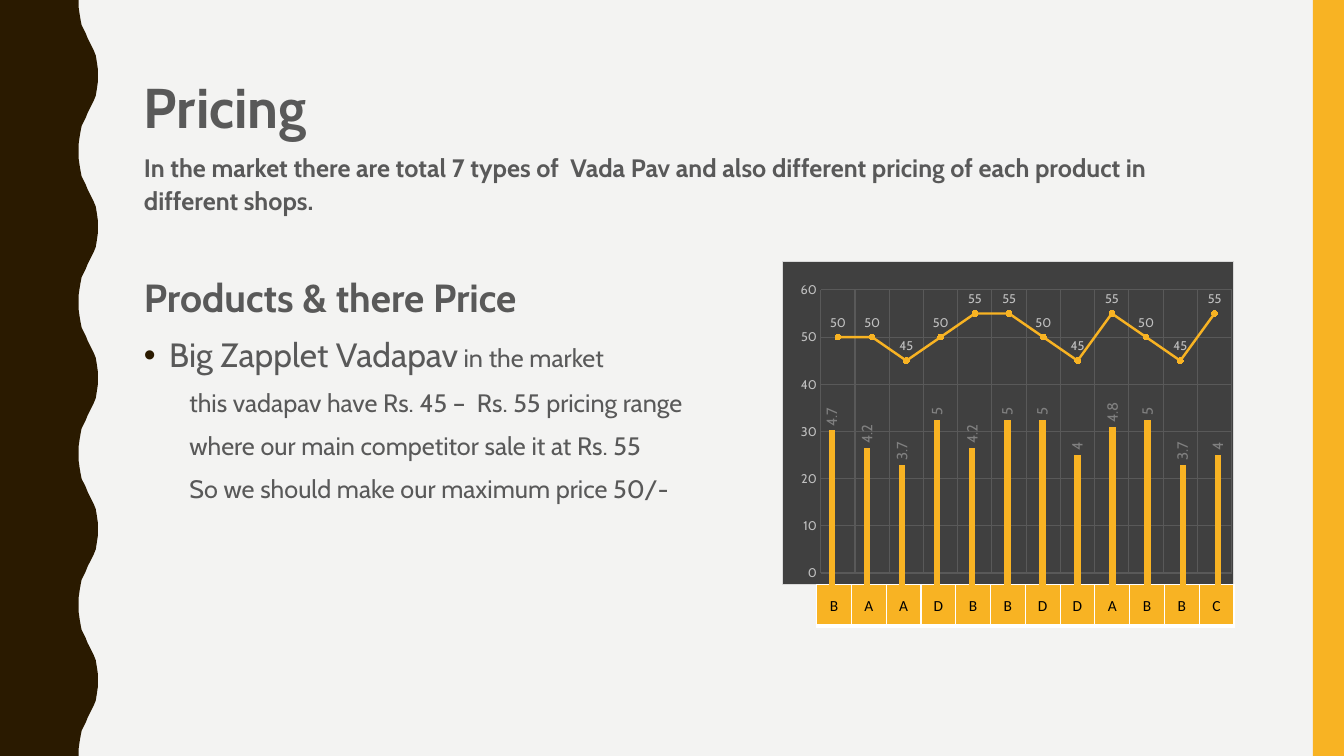
from pptx import Presentation
from pptx.chart.data import CategoryChartData
from pptx.dml.color import RGBColor
from pptx.enum.chart import XL_CHART_TYPE, XL_LABEL_POSITION, XL_MARKER_STYLE, XL_TICK_MARK
from pptx.enum.shapes import MSO_SHAPE
from pptx.enum.text import MSO_ANCHOR, PP_ALIGN
from pptx.oxml import parse_xml
from pptx.oxml.ns import nsdecls
from pptx.util import Inches, Pt

COLORS = {"paper": "F3F3F2", "brown": "2A1A00", "gold": "F8B323", "text": "595959",
          "panel": "404040", "grid": "595959", "border": "D9D9D9", "axis": "BFBFBF",
          "label": "808080", "black": "000000", "white": "FFFFFF"}


def color(name):
    return RGBColor.from_string(COLORS[name])


def add_price_chart(kind, box, values, layout, frame_xml, label_format):
    data = CategoryChartData()
    data.categories = [str(number) for number in range(1, len(values) + 1)]
    data.add_series("Series 1", values)
    chart = page.shapes.add_chart(kind, *map(Inches, box), data).chart
    chart.has_title = chart.has_legend = False
    chart.font.name, chart.font.size = "Cabin", Pt(10)
    chart.font.color.rgb = color("black")
    space = chart._chartSpace
    space.xpath("./c:txPr")[0].addprevious(parse_xml(
        f'<c:spPr {nsdecls("c", "a")}>{frame_xml}</c:spPr>'))
    plot_area = space.xpath("./c:chart/c:plotArea")[0]
    for old_layout in plot_area.xpath("./c:layout"):
        plot_area.remove(old_layout)
    places = "".join(f'<c:{key} val="{value}"/>' for key, value in zip("xywh", layout))
    plot_area.insert(0, parse_xml(
        f'<c:layout {nsdecls("c")}><c:manualLayout><c:layoutTarget val="inner"/>'
        f'<c:xMode val="edge"/><c:yMode val="edge"/>{places}</c:manualLayout></c:layout>'))
    plot = chart.plots[0]
    plot.vary_by_categories = False
    plot.has_data_labels = True
    labels = plot.data_labels
    labels.show_value = True
    labels.position = label_format["position"]
    labels.font.name, labels.font.size = "Cabin", Pt(label_format["size"])
    labels.font.color.rgb = color(label_format["color"])
    labels._element.xpath(".//a:bodyPr")[0].set("rot", label_format["rotation"])
    chart.category_axis.visible = False
    chart.value_axis.minimum_scale = 0
    return chart


deck = Presentation()
deck.slide_width, deck.slide_height = Inches(13.33), Inches(7.5)
page = deck.slides.add_slide(deck.slide_layouts[6])
page.background.fill.solid()
page.background.fill.fore_color.rgb = color("paper")

half_wave = [(78, 0), (78, 7), (79, 14), (80, 20), (81, 25), (83, 29), (85, 33), (87, 38),
             (89, 42), (91, 46), (93, 50), (95, 55), (96, 61), (97, 68), (97, 75)]
wave = half_wave + [(x, 150 - y) for x, y in reversed(half_wave[:-1])]
outline = [(x, y + 150 * turn) for turn in range(5) for x, y in wave] + [(0, 750)]
builder = page.shapes.build_freeform(0, 0, scale=Inches(0.01))
builder.add_line_segments(outline, close=True)
wavy_edge = builder.convert_to_shape()
side_bar = page.shapes.add_shape(MSO_SHAPE.RECTANGLE, Inches(13.02), 0, Inches(0.31), Inches(7.5))
for shape, name in ((wavy_edge, "brown"), (side_bar, "gold")):
    shape.shadow.inherit = False
    shape.fill.solid()
    shape.fill.fore_color.rgb = color(name)
    shape.line.fill.background()

paragraphs = [
    (7, 0, [("Pricing", 40, True)]),
    (7, 0, [("In the market there are total 7 types of  Vada Pav and also different "
             "pricing of each product in different shops.", 18, True)]),
    (38, 0, [("Products & there Price", 28, True)]),
    (7, 0.25, [("Big Zapplet Vadapav", 24, False), (" in the market", 18, False)]),
    (7, 0.45, [("this vadapav have Rs. 45 –  Rs. 55 pricing range", 18, False)]),
    (7, 0.45, [("where our main competitor sale it at Rs. 55", 18, False)]),
    (7, 0.45, [("So we should make our maximum price 50/-", 18, False)]),
]
box = page.shapes.add_textbox(Inches(1.33), Inches(0.6), Inches(11.13), Inches(6.9))
box.text_frame.word_wrap = True
for index, (space, indent, spans) in enumerate(paragraphs):
    para = box.text_frame.paragraphs[0] if index == 0 else box.text_frame.add_paragraph()
    for key, value in {"line_spacing": 1.1, "space_before": Pt(space)}.items():
        setattr(para, key, value)
    para._p.get_or_add_pPr().set("marL", str(Inches(indent)))
    for text, size, bold in spans:
        span = para.add_run()
        span.text = text
        for key, value in {"name": "Cabin", "size": Pt(size), "bold": bold}.items():
            setattr(span.font, key, value)
        span.font.color.rgb = color("text")

bullet_format = box.text_frame.paragraphs[3]._p.get_or_add_pPr()
bullet_format.set("indent", str(Inches(-0.25)))
for bullet_xml in (f'<a:buClr {nsdecls("a")}><a:srgbClr val="{COLORS["brown"]}"/></a:buClr>',
                   f'<a:buFont {nsdecls("a")} typeface="Arial"/>',
                   f'<a:buChar {nsdecls("a")} char="•"/>'):
    bullet_format.append(parse_xml(bullet_xml))

panel_xml = (f'<a:solidFill><a:srgbClr val="{COLORS["panel"]}"/></a:solidFill>'
             f'<a:ln w="{Pt(0.75)}"><a:solidFill><a:srgbClr val="{COLORS["border"]}"/>'
             '</a:solidFill></a:ln>')
price_chart = add_price_chart(
    XL_CHART_TYPE.LINE_MARKERS, (7.76, 2.59, 4.48, 3.21),
    [50, 50, 45, 50, 55, 55, 50, 45, 55, 50, 45, 55], (0.084, 0.088, 0.912, 0.878), panel_xml,
    {"position": XL_LABEL_POSITION.ABOVE, "size": 9, "color": "axis", "rotation": "0"})
price_axis = price_chart.value_axis
for key, value in {"maximum_scale": 60, "major_unit": 10,
                   "major_tick_mark": XL_TICK_MARK.NONE}.items():
    setattr(price_axis, key, value)
price_axis.format.line.fill.background()
price_axis.tick_labels.font.name = "Cabin"
price_axis.tick_labels.font.size = Pt(9)
price_axis.tick_labels.font.color.rgb = color("axis")
for axis in (price_axis, price_chart.category_axis):
    axis.has_major_gridlines = True
    axis.major_gridlines.format.line.width = Pt(0.75)
    axis.major_gridlines.format.line.color.rgb = color("grid")
price_line = price_chart.plots[0].series[0]
price_line.smooth = False
price_line.format.line.width = Pt(1.75)
price_line.format.line.color.rgb = color("gold")
price_line.marker.style = XL_MARKER_STYLE.CIRCLE
price_line.marker.size = 4
price_line.marker.format.fill.solid()
price_line.marker.format.fill.fore_color.rgb = color("gold")
price_line.marker.format.line.color.rgb = color("gold")

shops = "BAADBBDDABBC"
table = page.shapes.add_table(1, len(shops), Inches(8.1), Inches(5.8),
                              Inches(4.14), Inches(0.41)).table
table.first_row = table.horz_banding = False
for column, shop in enumerate(shops):
    table.columns[column].width = Inches(4.14 / len(shops))
    cell = table.cell(0, column)
    cell.text = shop
    for key, value in {"vertical_anchor": MSO_ANCHOR.MIDDLE, "margin_left": Inches(0.01),
                       "margin_right": Inches(0.01), "margin_top": Inches(0.01),
                       "margin_bottom": 0}.items():
        setattr(cell, key, value)
    cell.fill.solid()
    cell.fill.fore_color.rgb = color("gold")
    para = cell.text_frame.paragraphs[0]
    para.alignment = PP_ALIGN.CENTER
    font = para.runs[0].font
    font.name, font.size = "Calibri", Pt(11)
    font.color.rgb = color("black")
    for order, (side, width) in enumerate((("L", 1), ("R", 1), ("T", 1), ("B", 3))):
        cell._tc.get_or_add_tcPr().insert(order, parse_xml(
            f'<a:ln{side} {nsdecls("a")} w="{Pt(width)}"><a:solidFill>'
            f'<a:srgbClr val="{COLORS["white"]}"/></a:solidFill></a:ln{side}>'))

rating_chart = add_price_chart(
    XL_CHART_TYPE.COLUMN_CLUSTERED, (7.99, 3.78, 4.35, 2.15),
    [4.7, 4.2, 3.7, 5, 4.2, 5, 5, 4, 4.8, 5, 3.7, 4], (0.02, 0.02, 0.96, 0.96),
    "<a:noFill/><a:ln><a:noFill/></a:ln>",
    {"position": XL_LABEL_POSITION.OUTSIDE_END, "size": 10.6, "color": "label",
     "rotation": "-5400000"})
rating_chart.value_axis.maximum_scale = 6
rating_chart.value_axis.has_major_gridlines = False
rating_chart.value_axis.visible = False
rating_plot = rating_chart.plots[0]
rating_plot.gap_width, rating_plot.overlap = 444, -90
rating_plot.series[0].format.fill.solid()
rating_plot.series[0].format.fill.fore_color.rgb = color("gold")

deck.save("out.pptx")
